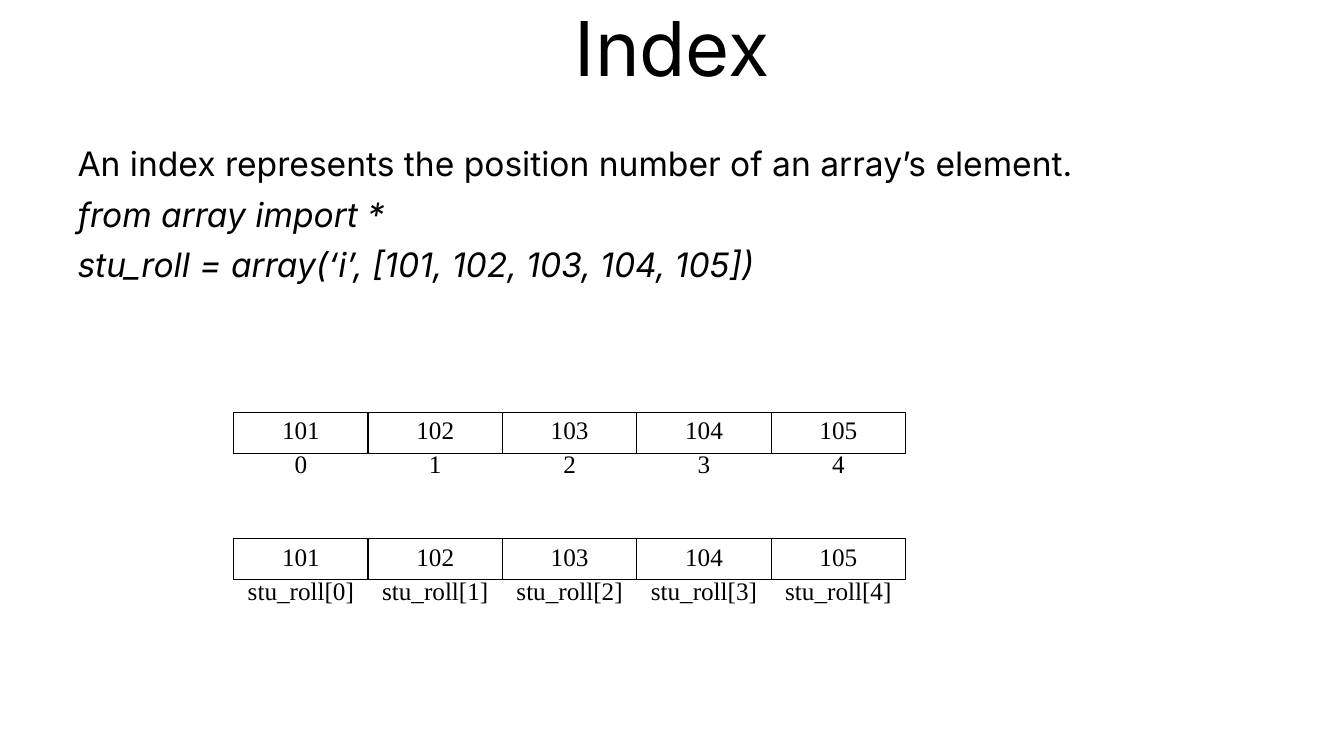
"""Build a slide explaining array indexes with two labelled element rows."""
from lxml import etree
from pptx import Presentation
from pptx import util as u
from pptx.dml.color import RGBColor
from pptx.enum import text
from pptx.oxml.ns import qn

TITLE = "Index"
BODY = [
    ("An index represents the position number of an array’s element.", False),
    ("from array import *", True),
    ("stu_roll = array(‘i’, [101, 102, 103, 104, 105])", True),
]
ELEMENTS = ["101", "102", "103", "104", "105"]
POSITIONS = [str(i) for i in range(len(ELEMENTS))]
LABEL_ROWS = [POSITIONS, [f"stu_roll[{i}]" for i in POSITIONS]]

COLORS = {"ink": "000000", "paper": "FFFFFF"}
TITLE_BOX = (1.7, 0.15, 30.48, 3.18)
BODY_BOX = (1.7, 3.6, 30.2, 14.4)
ROW_LEFT, ROW_TOP, ROW_WIDTH, ROW_HEIGHT = 5.89, 10.39, 16.93, 1.04
LABEL_OFFSET, PAIR_PITCH = 0.86, 3.18

TITLE_FONT = {"name": "Inter", "size": u.Pt(54)}
BODY_FONT = {"name": "Inter", "size": u.Pt(24)}
CELL_FONT = {"name": "Times New Roman", "size": u.Pt(18), "bold": False}
CENTERED = {"alignment": text.PP_ALIGN.CENTER}
TITLE_FORMAT = {**CENTERED, "line_spacing": 0.9}
BODY_FORMAT = {"alignment": text.PP_ALIGN.LEFT, "line_spacing": 0.9, "space_before": u.Pt(10)}
FRAME_FORMAT = {"word_wrap": True, "auto_size": text.MSO_AUTO_SIZE.NONE,
                "vertical_anchor": text.MSO_ANCHOR.TOP}
TABLE_FORMAT = {"first_row": False, "horz_banding": False}


def apply(target, values):
    for name, value in values.items():
        setattr(target, name, value)


def write(paragraph, words, font, layout):
    run = paragraph.add_run()
    run.text = words
    apply(run.font, font)
    run.font.color.rgb = RGBColor.from_string(COLORS["ink"])
    apply(paragraph, layout)


def place(shape, box):
    apply(shape, dict(zip(("left", "top", "width", "height"), map(u.Cm, box))))
    apply(shape.text_frame, FRAME_FORMAT)


def set_borders(cell, visible):
    properties = cell._tc.get_or_add_tcPr()
    for index, side in enumerate(("lnL", "lnR", "lnT", "lnB")):
        line = etree.Element(qn(f"a:{side}"), w=str(u.Pt(1)))
        if visible:
            fill = etree.SubElement(line, qn("a:solidFill"))
            etree.SubElement(fill, qn("a:srgbClr"), val=COLORS["ink"])
        else:
            etree.SubElement(line, qn("a:noFill"))
        properties.insert(index, line)


def add_row(slide, values, top, bordered):
    box = map(u.Cm, (ROW_LEFT, top, ROW_WIDTH, ROW_HEIGHT))
    table = slide.shapes.add_table(1, len(values), *box).table
    apply(table, TABLE_FORMAT)
    for cell, value in zip(table.iter_cells(), values):
        cell.fill.background()
        set_borders(cell, bordered)
        write(cell.text_frame.paragraphs[0], value, CELL_FONT, CENTERED)


def add_body(body):
    place(body, BODY_BOX)
    frame = body.text_frame
    for index, (words, italic) in enumerate(BODY):
        paragraph = frame.add_paragraph() if index else frame.paragraphs[0]
        write(paragraph, words, {**BODY_FONT, "italic": italic}, BODY_FORMAT)
        properties = paragraph._p.get_or_add_pPr()
        properties.set("marL", "0")
        properties.set("indent", "0")
        etree.SubElement(properties, qn("a:buNone"))


def main():
    presentation = Presentation()
    apply(presentation, {"slide_width": u.Cm(33.87), "slide_height": u.Cm(19.05)})
    slide = presentation.slides.add_slide(presentation.slide_layouts[1])
    background = slide.background.fill
    background.solid()
    background.fore_color.rgb = RGBColor.from_string(COLORS["paper"])

    title, body = slide.placeholders
    place(title, TITLE_BOX)
    write(title.text_frame.paragraphs[0], TITLE, TITLE_FONT, TITLE_FORMAT)
    add_body(body)

    for index, labels in enumerate(LABEL_ROWS):
        top = ROW_TOP + index * PAIR_PITCH
        add_row(slide, ELEMENTS, top, True)
        add_row(slide, labels, top + LABEL_OFFSET, False)
    presentation.save("out.pptx")


if __name__ == "__main__":
    main()
